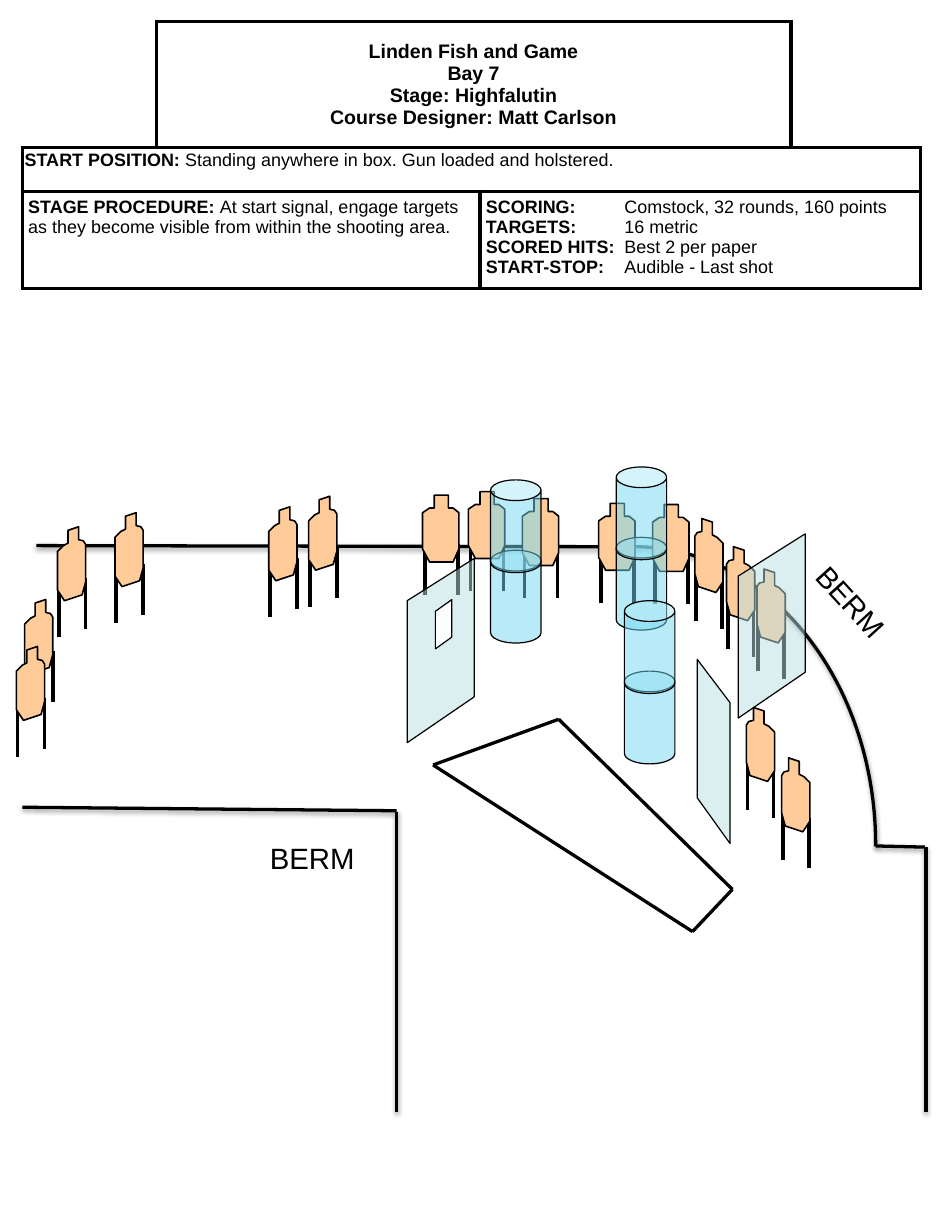
import lxml.etree
import pptx
import pptx.dml.color
import pptx.enum.shapes
import pptx.enum.text
import pptx.oxml.ns
import pptx.util

Inches = pptx.util.Inches
qn = pptx.oxml.ns.qn

HUES = {"ink": "000000", "page": "FFFFFF", "tan": "FFCC99", "glass": "BBE0E3", "tube": "73D9F1"}
FLAT = [(0.1, 0), (0.22, 0), (0.22, 0.11), (0.26, 0.11), (0.31, 0.15), (0.31, 0.46),
        (0.26, 0.57), (0.06, 0.57), (0, 0.46), (0, 0.15), (0.06, 0.11), (0.1, 0.11)]
SLANT = [(0.09, 0.03), (0.18, 0), (0.18, 0.11), (0.22, 0.12), (0.24, 0.15), (0.24, 0.47),
         (0.21, 0.58), (0.06, 0.63), (0, 0.54), (0, 0.21), (0.05, 0.16), (0.09, 0.14)]
FLIP = [(0.24 - x, y) for x, y in SLANT]
KINDS = {"flat": (FLAT, [(0.02, 0.42), (0.3, 0.42)]),
         "slant": (SLANT, [(0.01, 0.51), (0.24, 0.44)]),
         "flip": (FLIP, [(0.23, 0.51), (0.01, 0.44)])}


def write(par, text, size=11, bold=False, hue="ink", face="Arial"):
    """Add text to a paragraph, with a line break at each newline."""
    for row, part in enumerate(text.split("\n")):
        if row:
            par.add_line_break()
        run = par.add_run()
        run.text = part
        run.font.size = pptx.util.Pt(size)
        run.font.bold = bold
        run.font.name = face
        run.font.color.rgb = pptx.dml.color.RGBColor.from_string(HUES[hue])


class Stage:
    """Holds the style and the current slide and draws each kind of element."""

    def __init__(self, slide):
        self.slide = slide
        self.shapes = slide.shapes

    def hue(self, name):
        return pptx.dml.color.RGBColor.from_string(HUES[name])

    def trace(self, form, width):
        form.line.color.rgb = self.hue("ink")
        form.line.width = pptx.util.Pt(width)

    def paint(self, form, hue, width, alpha=100):
        form.shadow.inherit = False
        form.fill.solid()
        form.fill.fore_color.rgb = self.hue(hue)
        if alpha < 100:
            tint = form.element.spPr.find(qn("a:solidFill"))[0]
            lxml.etree.SubElement(tint, qn("a:alpha"), val=str(alpha * 1000))
        self.trace(form, width)

    def shade(self, effects):
        cast = lxml.etree.SubElement(effects, qn("a:outerShdw"), blurRad=str(pptx.util.Pt(3.1)),
                                     dist=str(pptx.util.Pt(1.6)), dir="5400000", rotWithShape="0")
        tint = lxml.etree.SubElement(cast, qn("a:srgbClr"), val=HUES["ink"])
        lxml.etree.SubElement(tint, qn("a:alpha"), val="38000")

    def line(self, start, end, width=2, soft=False, home=None):
        form = (home or self.shapes).add_connector(
            pptx.enum.shapes.MSO_CONNECTOR.STRAIGHT, *[Inches(v) for v in (*start, *end)])
        self.trace(form, width)
        effects = lxml.etree.SubElement(form.element.spPr, qn("a:effectLst"))
        if soft:
            self.shade(effects)

    def arc(self, x, y, w, h):
        form = self.shapes.add_shape(pptx.enum.shapes.MSO_SHAPE.ARC,
                                     Inches(x), Inches(y), Inches(w), Inches(h))
        form.adjustments[0], form.adjustments[1] = 162, 0.24
        form.fill.background()
        self.trace(form, 2)
        form.shadow.inherit = False
        self.shade(form.element.spPr.find(qn("a:effectLst")))

    def outline(self, x, y, points, hue, width, alpha=100, home=None):
        spots = [(Inches(x + dx), Inches(y + dy)) for dx, dy in points]
        pen = (home or self.shapes).build_freeform(*spots[0])
        pen.add_line_segments(spots[1:], close=True)
        self.paint(pen.convert_to_shape(), hue, width, alpha)

    def target(self, kind, x, y):
        points, legs = KINDS[kind]
        home = self.shapes.add_group_shape().shapes
        for dx, dy in legs:
            self.line((x + dx, y + dy), (x + dx, y + dy + 0.43), 2.25, home=home)
        self.outline(x, y, points, "tan", 1, home=home)

    def wall(self, x, y, w, h, rise, drop, flip=False, hue="glass", alpha=50):
        points = [(0, h), (0, rise), (w, 0), (w, h - drop)]
        if flip:
            points = [(w - dx, dy) for dx, dy in points]
        self.outline(x, y, points, hue, 0.75, alpha)

    def barrels(self, x, y):
        home = self.shapes.add_group_shape().shapes
        for top in (y + 0.6, y):
            form = home.add_shape(pptx.enum.shapes.MSO_SHAPE.CAN,
                                  Inches(x), Inches(top), Inches(0.43), Inches(0.79))
            form.adjustments[0] = 0.41
            self.paint(form, "tube", 0.75, 50)

    def label(self, text, x, y, turn=0):
        box = self.shapes.add_textbox(Inches(x), Inches(y), Inches(0.98), Inches(0.4))
        box.rotation = turn
        box.text_frame.word_wrap = True
        box.text_frame.auto_size = pptx.enum.text.MSO_AUTO_SIZE.SHAPE_TO_FIT_TEXT
        write(box.text_frame.paragraphs[0], text, size=18)

    def border(self, cell, bare):
        props = cell._tc.get_or_add_tcPr()
        for spot, side in enumerate("LRTB"):
            edge = lxml.etree.Element(qn("a:ln" + side), w=str(pptx.util.Pt(2.25)))
            if side in bare:
                lxml.etree.SubElement(edge, qn("a:noFill"))
            else:
                fill = lxml.etree.SubElement(edge, qn("a:solidFill"))
                lxml.etree.SubElement(fill, qn("a:srgbClr"), val=HUES["ink"])
            props.insert(spot, edge)

    def grid(self, x, y, cols, rows):
        grid = self.shapes.add_table(len(rows), len(cols), Inches(x), Inches(y),
                                     Inches(sum(cols)), Inches(sum(rows))).table
        grid.first_row = grid.horz_banding = False
        for col, width in zip(grid.columns, cols):
            col.width = Inches(width)
        for row, height in zip(grid.rows, rows):
            row.height = Inches(height)
        bare = {(0, 0): "LT", (0, len(cols) - 1): "RT"}
        for r in range(len(rows)):
            for c in range(len(cols)):
                cell = grid.cell(r, c)
                cell.fill.solid()
                cell.fill.fore_color.rgb = self.hue("page")
                cell.margin_left = cell.margin_right = Inches(0.05)
                cell.margin_top = cell.margin_bottom = Inches(0.05)
                self.border(cell, bare.get((r, c), ""))
        return grid

    def brief(self):
        grid = self.grid(0.19, 0.18, [1.14, 2.76, 2.65, 1.1], [1.08, 0.37, 0.83])
        for r, first, last in [(0, 1, 2), (1, 0, 3), (2, 0, 1), (2, 2, 3)]:
            grid.cell(r, first).merge(grid.cell(r, last))
        head, start, plan, score = [grid.cell(*at) for at in [(0, 1), (1, 0), (2, 0), (2, 2)]]

        head.vertical_anchor = pptx.enum.text.MSO_ANCHOR.MIDDLE
        par = head.text_frame.paragraphs[0]
        par.alignment = pptx.enum.text.PP_ALIGN.CENTER
        write(par, "Linden Fish and Game\nBay 7\nStage: Highfalutin\n"
                   "Course Designer: Matt Carlson", size=12, bold=True)

        start.margin_left = start.margin_right = Inches(0.02)
        start.margin_top = start.margin_bottom = Inches(0.04)
        par = start.text_frame.paragraphs[0]
        par.line_spacing = 0.9
        write(par, "START POSITION:", bold=True)
        write(par, " Standing anywhere in box. Gun loaded and holstered.")

        par = plan.text_frame.paragraphs[0]
        write(par, "STAGE PROCEDURE: ", bold=True)
        write(par, "At start signal, engage targets as they become visible "
                   "from within the shooting area.")

        facts = [("SCORING:", "Comstock, 32 rounds, 160 points"), ("TARGETS:", "16 metric"),
                 ("SCORED HITS:", "Best 2 per paper"), ("START-STOP:", "Audible - Last shot")]
        for spot, (name, fact) in enumerate(facts):
            frame = score.text_frame
            par = frame.add_paragraph() if spot else frame.paragraphs[0]
            tabs = lxml.etree.SubElement(par._p.get_or_add_pPr(), qn("a:tabLst"))
            lxml.etree.SubElement(tabs, qn("a:tab"), pos=str(Inches(1.18)), algn="l")
            write(par, name, bold=True)
            write(par, "\t" + fact)


def main():
    deck = pptx.Presentation()
    deck.slide_width, deck.slide_height = Inches(8), Inches(10.5)
    stage = Stage(deck.slides.add_slide(deck.slide_layouts[6]))

    stage.arc(3.37, 4.66, 4.09, 5.08)
    stage.line((5.42, 4.66), (0.31, 4.65), soft=True)
    stage.target("flat", 5.56, 4.3)
    stage.brief()
    for start, end in [((3.38, 9.48), (3.38, 6.92)), ((3.38, 6.91), (0.19, 6.88)),
                       ((7.89, 9.48), (7.89, 7.22)), ((7.88, 7.22), (7.46, 7.21))]:
        stage.line(start, end, soft=True)
    stage.label("BERM", 2.2, 7.11)
    stage.label("BERM", 6.78, 4.95, turn=47.7)

    box = [(4.76, 6.13), (3.69, 6.52), (5.9, 7.94), (6.24, 7.58)]
    for start, end in zip(box, box[1:] + box[:1]):
        stage.line(start, end)

    for x, y in [(0.49, 4.49), (0.98, 4.37), (0.21, 5.11)]:
        stage.target("slant", x, y)
    stage.wall(5.94, 5.62, 0.28, 1.57, 0.37, 0.39, flip=True)
    for x, y in [(6.66, 6.46), (6.36, 6.03)]:
        stage.target("flip", x, y)
    for x, y in [(3.99, 4.19), (4.45, 4.25), (5.1, 4.29)]:
        stage.target("flat", x, y)
    for x, y in [(4.18, 4.09), (5.25, 3.98)]:
        stage.barrels(x, y)
    for x, y in [(6.19, 4.66), (6.45, 4.85)]:
        stage.target("flip", x, y)
    stage.wall(6.29, 4.55, 0.57, 1.57, 0.36, 0.39)
    for x, y in [(2.29, 4.32), (2.63, 4.23)]:
        stage.target("slant", x, y)
    stage.target("flat", 3.6, 4.22)
    stage.wall(3.47, 4.76, 0.57, 1.57, 0.36, 0.39)
    stage.wall(3.71, 5.11, 0.14, 0.42, 0.1, 0.1, hue="page", alpha=94)
    stage.target("flip", 5.92, 4.42)
    stage.barrels(5.32, 5.12)
    stage.target("slant", 0.14, 5.51)

    deck.save("out.pptx")


if __name__ == "__main__":
    main()
